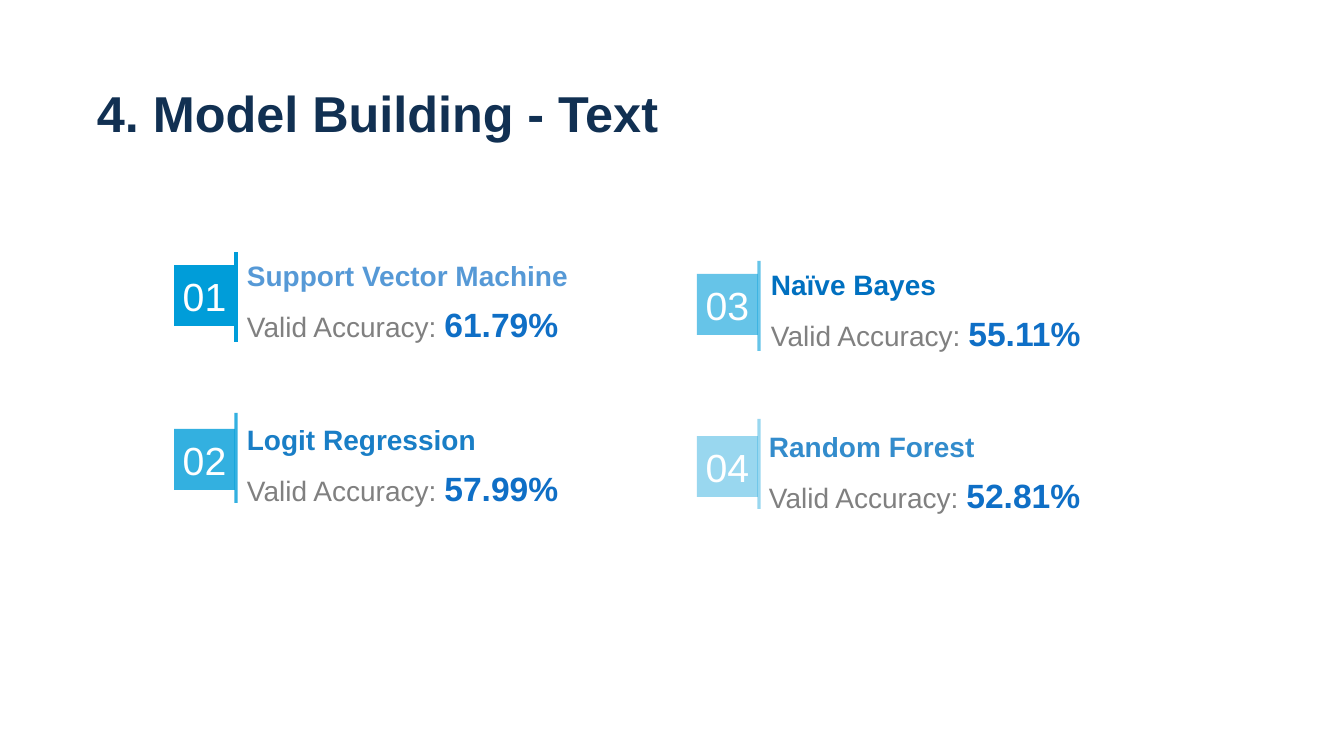
from lxml import etree
from pptx import Presentation
from pptx.dml.color import RGBColor
from pptx.enum.shapes import MSO_CONNECTOR, MSO_SHAPE
from pptx.enum.text import MSO_ANCHOR, MSO_AUTO_SIZE, PP_ALIGN
from pptx.oxml.ns import qn
from pptx.util import Pt

RECTANGLE = MSO_SHAPE.RECTANGLE
STRAIGHT = MSO_CONNECTOR.STRAIGHT
MIDDLE = MSO_ANCHOR.MIDDLE
CENTER = PP_ALIGN.CENTER
FIT_SHAPE = MSO_AUTO_SIZE.SHAPE_TO_FIT_TEXT

WHITE = RGBColor(0xFF, 0xFF, 0xFF)
NAVY = RGBColor(0x11, 0x30, 0x52)
CYAN = RGBColor(0x00, 0x9D, 0xD9)
BLUE = RGBColor(0x00, 0x70, 0xC0)
ROYAL = RGBColor(0x0F, 0x6F, 0xC6)
GRAY = RGBColor(0x80, 0x80, 0x80)

EMU_PER_PX = 914400 / 100.8
BADGE_SIZE = 61
RULE_OFFSET = 62
RULE_LENGTH = 90
TEXT_RISE = 9
TEXT_HEIGHT = 81

# number, badge left and top, rule top, badge opacity,
# text left and width, model, model colour and opacity, accuracy
MODELS = [
    ("01", 174, 265, 252, 100, 237, 669, "Support Vector Machine", ROYAL, 70, "61.79%"),
    ("02", 174, 429, 413, 80, 237, 646, "Logit Regression", BLUE, 90, "57.99%"),
    ("03", 697, 274, 261, 60, 761, 646, "Naïve Bayes", BLUE, 100, "55.11%"),
    ("04", 697, 436, 419, 40, 759, 616, "Random Forest", BLUE, 80, "52.81%"),
]


def px(*lengths):
    """Turn pixel lengths into EMU."""
    return [round(length * EMU_PER_PX) for length in lengths]


def set_opacity(element, percent):
    """Make every RGB colour inside the element partly transparent."""
    if percent < 100:
        for color in element.iter(qn("a:srgbClr")):
            etree.SubElement(color, qn("a:alpha"), val=str(percent * 1000))


class SlideBuilder:
    def __init__(self, page, font_name):
        self.page = page
        self.font_name = font_name

    def style(self, font, size, color, bold=False):
        font.name = self.font_name
        font.size = Pt(size)
        font.bold = bold
        font.color.rgb = color

    def title(self, text, left, top, width, height):
        box = self.page.shapes.add_textbox(*px(left, top, width, height))
        frame = box.text_frame
        frame.margin_left = frame.margin_right = 0
        frame.margin_top = frame.margin_bottom = 0
        frame.word_wrap = False
        frame.auto_size = FIT_SHAPE
        para = frame.paragraphs[0]
        para.text = text
        self.style(para.font, 36, NAVY, bold=True)

    def badge(self, number, left, top, opacity):
        square = self.page.shapes.add_shape(
            RECTANGLE, *px(left, top, BADGE_SIZE, BADGE_SIZE))
        square.shadow.inherit = False
        square.fill.solid()
        square.fill.fore_color.rgb = CYAN
        square.line.fill.background()
        set_opacity(square._element.spPr, opacity)
        frame = square.text_frame
        frame.word_wrap = False
        frame.vertical_anchor = MIDDLE
        para = frame.paragraphs[0]
        para.text = number
        para.alignment = CENTER
        self.style(para.font, 28, WHITE)

    def rule(self, left, top, opacity):
        line = self.page.shapes.add_connector(
            STRAIGHT, *px(left, top, left, top + RULE_LENGTH))
        line.line.color.rgb = CYAN
        line.line.width = Pt(2.25)
        properties = line._element.spPr
        set_opacity(properties, opacity)
        etree.SubElement(properties, qn("a:effectLst"))

    def result(self, left, top, width, model, color, opacity, accuracy):
        box = self.page.shapes.add_textbox(*px(left, top, width, TEXT_HEIGHT))
        frame = box.text_frame
        frame.word_wrap = False
        frame.vertical_anchor = MIDDLE
        heading = frame.paragraphs[0]
        heading.text = model
        heading.line_spacing = 1.3
        self.style(heading.font, 20, color, bold=True)
        set_opacity(heading._p, opacity)

        score = frame.add_paragraph()
        score.line_spacing = 1.3
        label = score.add_run()
        label.text = "Valid Accuracy: "
        self.style(label.font, 20, GRAY)
        value = score.add_run()
        value.text = accuracy
        self.style(value.font, 24, ROYAL, bold=True)


def main():
    deck = Presentation()
    deck.slide_width, deck.slide_height = px(1344, 756)
    page = deck.slides.add_slide(deck.slide_layouts[6])
    builder = SlideBuilder(page, "Arial")

    builder.title("4. Model Building - Text", 97, 82, 567, 61)
    for (number, left, top, rule_top, opacity, text_left, text_width,
         model, color, text_opacity, accuracy) in MODELS:
        builder.badge(number, left, top, opacity)
        builder.rule(left + RULE_OFFSET, rule_top, opacity)
        builder.result(text_left, top - TEXT_RISE, text_width,
                       model, color, text_opacity, accuracy)

    deck.save("out.pptx")


if __name__ == "__main__":
    main()
